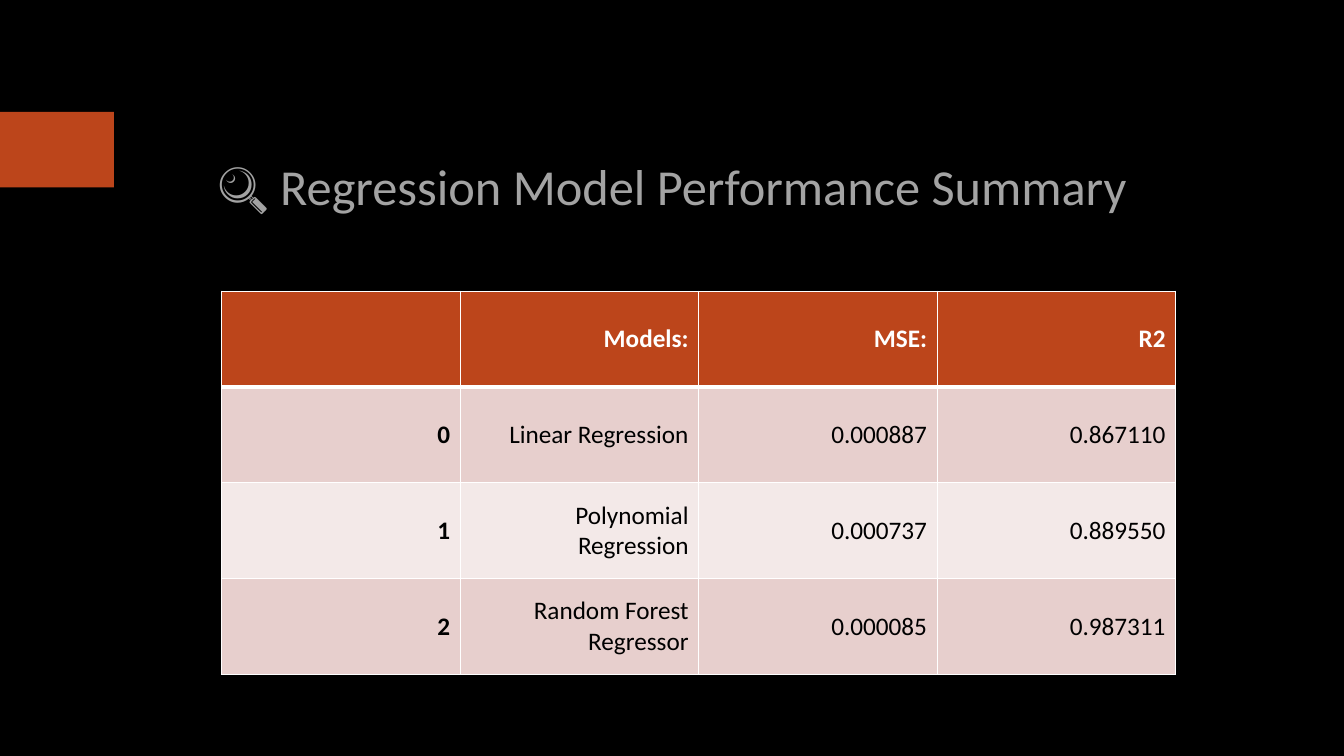
from lxml.etree import SubElement
from pptx import Presentation
from pptx.dml.color import RGBColor
from pptx.enum.shapes import MSO_SHAPE
from pptx.enum.text import MSO_ANCHOR, PP_ALIGN
from pptx.oxml.ns import qn
from pptx.util import Inches, Pt

BLACK = RGBColor(0x00, 0x00, 0x00)
WHITE = RGBColor(0xFF, 0xFF, 0xFF)
GRAY = RGBColor(0xA3, 0xA3, 0xA3)
RUST = RGBColor(0xBC, 0x45, 0x1B)
ROW_FILLS = [RGBColor(0xE7, 0xCF, 0xCD), RGBColor(0xF3, 0xE9, 0xE8)]
FONT = "Calibri"

RESULTS = [
    ["", "Models:", "MSE:", "R2"],
    ["0", "Linear Regression", "0.000887", "0.867110"],
    ["1", "Polynomial Regression", "0.000737", "0.889550"],
    ["2", "Random Forest Regressor", "0.000085", "0.987311"],
]


def style_font(font, size, color, bold=False):
    font.name = FONT
    font.size = Pt(size)
    font.color.rgb = color
    font.bold = bold


def add_accent(slide, left, top, width, height):
    accent = slide.shapes.add_shape(
        MSO_SHAPE.RECTANGLE, Inches(left), Inches(top), Inches(width), Inches(height))
    accent.shadow.inherit = False
    accent.fill.solid()
    accent.fill.fore_color.rgb = RUST
    accent.line.fill.background()


def add_title(slide, left, top, width, height):
    title = slide.shapes.add_textbox(
        Inches(left), Inches(top), Inches(width), Inches(height))
    frame = title.text_frame
    frame.word_wrap = True
    frame.vertical_anchor = MSO_ANCHOR.MIDDLE
    paragraph = frame.paragraphs[0]
    paragraph.text = "🔍 Regression Model Performance Summary"
    paragraph.alignment = PP_ALIGN.CENTER
    style_font(paragraph.font, 36, GRAY)


def set_borders(cell, widths):
    """Draw white borders; widths maps each side (L, R, T, B) to points."""
    properties = cell._tc.get_or_add_tcPr()
    for side, width in widths.items():
        line = SubElement(properties, qn(f"a:ln{side}"), w=str(Pt(width)))
        fill = SubElement(line, qn("a:solidFill"))
        SubElement(fill, qn("a:srgbClr"), val=str(WHITE))


def add_results_table(slide, left, top, width, height):
    row_count, column_count = len(RESULTS), len(RESULTS[0])
    table = slide.shapes.add_table(
        row_count, column_count,
        Inches(left), Inches(top), Inches(width), Inches(height)).table
    for row_index, row in enumerate(RESULTS):
        header = row_index == 0
        for column_index, text in enumerate(row):
            cell = table.cell(row_index, column_index)
            # Thick rule between the header and the body
            set_borders(cell, {"L": 1, "R": 1,
                               "T": 3 if row_index == 1 else 1,
                               "B": 3 if header else 1})
            cell.fill.solid()
            cell.fill.fore_color.rgb = RUST if header else ROW_FILLS[(row_index - 1) % 2]
            cell.vertical_anchor = MSO_ANCHOR.MIDDLE
            paragraph = cell.text_frame.paragraphs[0]
            paragraph.text = text
            paragraph.alignment = PP_ALIGN.RIGHT
            style_font(paragraph.font, 18, WHITE if header else BLACK,
                       bold=header or column_index == 0)


def main():
    presentation = Presentation()
    presentation.slide_width = Inches(13.33)
    presentation.slide_height = Inches(7.5)
    slide = presentation.slides.add_slide(presentation.slide_layouts[6])
    slide.background.fill.solid()
    slide.background.fill.fore_color.rgb = BLACK

    add_accent(slide, 0, 1.11, 1.13, 0.75)
    add_title(slide, 1.17, 1.39, 11, 0.9)
    add_results_table(slide, 2.2, 2.89, 9.46, 3.8)
    presentation.save("out.pptx")


if __name__ == "__main__":
    main()
